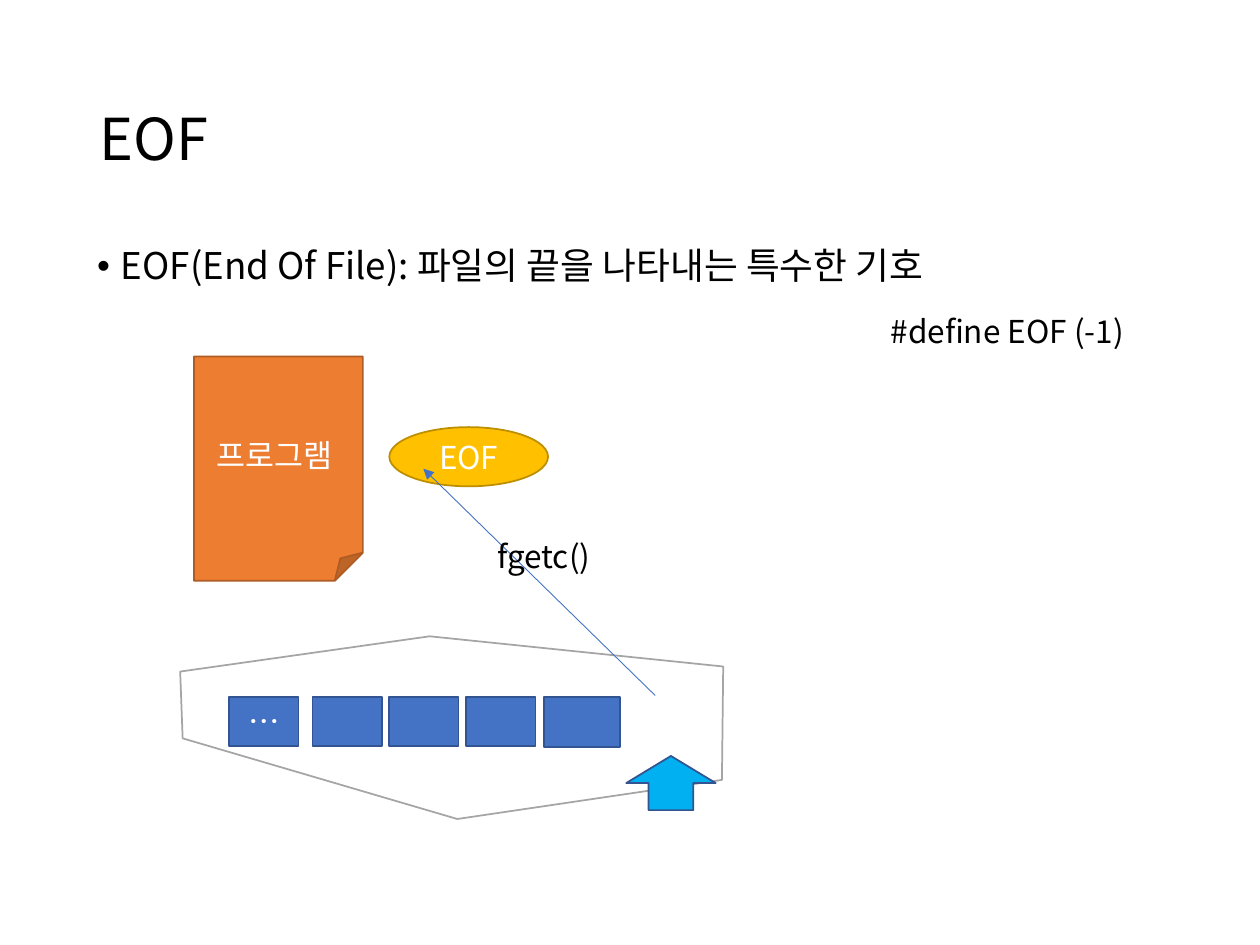
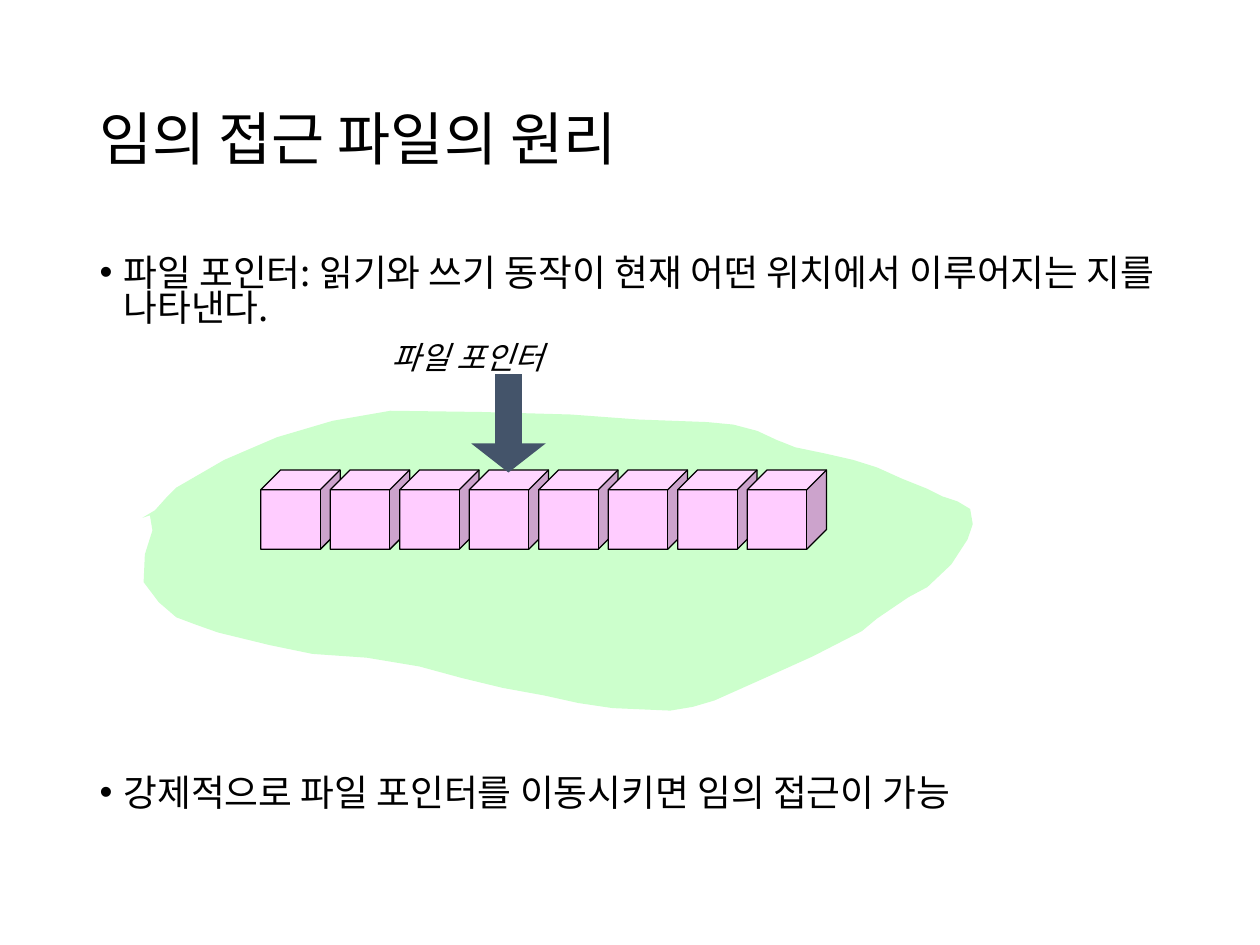
from lxml.etree import SubElement
from pptx import Presentation
from pptx.dml.color import RGBColor
from pptx.enum.shapes import MSO_CONNECTOR, MSO_SHAPE
from pptx.enum.text import MSO_ANCHOR, MSO_AUTO_SIZE, PP_ALIGN
from pptx.oxml.ns import qn
from pptx.util import Inches, Pt

FONT = "Noto Sans CJK KR"
BLACK, WHITE = "000000", "FFFFFF"
BLUE, DARK_BLUE = "4472C4", "325491"
TITLE_BOX = (0.69, 0.4, 8.62, 1.45)

EOF_TITLE = "EOF"
EOF_BODY = ["EOF(End Of File): 파일의 끝을 나타내는 특수한 기호"]
FILE_OUTLINE = [(3.41, 5.05), (1.43, 5.33), (1.45, 5.86), (3.63, 6.5), (5.73, 6.19), (5.74, 5.29)]
FILE_CELLS = [
    (1.82, 0.55, 0.39, "…"),
    (2.48, 0.55, 0.39, ""),
    (3.09, 0.55, 0.39, ""),
    (3.7, 0.55, 0.39, ""),
    (4.32, 0.6, 0.4, ""),
]
CELL_TOP = 5.53
EOF_SHAPES = [
    (MSO_SHAPE.OVAL, (3.09, 3.39, 1.26, 0.47), "FFC000", "BD8E00", "EOF"),
    (MSO_SHAPE.FOLDED_CORNER, (1.54, 2.83, 1.34, 1.78), "ED7D31", "AF5C24", "프로그램 "),
]

ACCESS_TITLE = "임의 접근 파일의 원리"
ACCESS_BODY = [
    "파일 포인터: 읽기와 쓰기 동작이 현재 어떤 위치에서 이루어지는 지를 나타낸다.",
    "강제적으로 파일 포인터를 이동시키면 임의 접근이 가능",
]
STORAGE_OUTLINE = [
    (1.13, 4.11), (1.23, 4.05), (1.32, 3.95), (1.4, 3.87), (1.78, 3.65), (2.2, 3.47),
    (2.64, 3.34), (3.1, 3.26), (3.82, 3.27), (4.53, 3.29), (5.07, 3.33), (5.61, 3.35),
    (5.82, 3.37), (6.01, 3.42), (6.16, 3.49), (6.31, 3.55), (6.55, 3.6), (6.77, 3.65),
    (6.96, 3.71), (7.16, 3.8), (7.36, 3.88), (7.48, 3.94), (7.6, 3.98), (7.7, 4.04),
    (7.72, 4.16), (7.68, 4.28), (7.55, 4.48), (7.36, 4.66), (7.21, 4.74), (6.96, 4.91),
    (6.84, 5.01), (6.45, 5.21), (6.05, 5.39), (5.67, 5.56), (5.5, 5.61), (5.32, 5.64),
    (4.86, 5.62), (4.59, 5.58), (4.32, 5.52), (3.99, 5.46), (3.66, 5.38), (3.33, 5.29),
    (2.91, 5.22), (2.48, 5.19), (2.14, 5.12), (1.73, 5.02), (1.56, 4.96), (1.4, 4.9),
    (1.26, 4.78), (1.14, 4.62), (1.15, 4.4), (1.21, 4.21), (1.19, 4.09),
]
CUBE_COUNT, CUBE_LEFT, CUBE_STEP, CUBE_TOP, CUBE_SIZE = 8, 2.07, 0.5515, 3.73, 0.63


def color(value):
    return RGBColor.from_string(value)


def place(shape, box):
    shape.left, shape.top, shape.width, shape.height = map(Inches, box)


def write(paragraph, text, size=18, ink=BLACK, italic=None, align=PP_ALIGN.LEFT, spacing=None):
    paragraph.alignment = align
    if spacing:
        paragraph.line_spacing = spacing
    run = paragraph.add_run()
    run.text = text
    run.font.name, run.font.size, run.font.italic = FONT, Pt(size), italic
    run.font.color.rgb = color(ink)
    SubElement(run.font._element, qn("a:ea"), typeface=FONT)


def paint(shape, fill, line=None, width=1):
    shape.shadow.inherit = False
    shape.fill.solid()
    shape.fill.fore_color.rgb = color(fill)
    if line:
        shape.line.color.rgb = color(line)
        shape.line.width = Pt(width)
    else:
        shape.line.fill.background()


def add_shape(slide, kind, box, fill, line=None, text="", width=1, adjustments=()):
    shape = slide.shapes.add_shape(kind, *map(Inches, box))
    paint(shape, fill, line, width)
    for index, value in enumerate(adjustments):
        shape.adjustments[index] = value
    if text:
        shape.text_frame.vertical_anchor = MSO_ANCHOR.MIDDLE
        write(shape.text_frame.paragraphs[0], text, ink=WHITE, align=PP_ALIGN.CENTER)


def add_outline(slide, points, fill, line=None):
    corners = [(Inches(x), Inches(y)) for x, y in points]
    builder = slide.shapes.build_freeform(*corners[0])
    builder.add_line_segments(corners[1:], close=True)
    paint(builder.convert_to_shape(), fill, line)


def add_label(slide, box, text, wrap=False, **text_format):
    label = slide.shapes.add_textbox(*map(Inches, box))
    label.text_frame.word_wrap = wrap
    label.text_frame.auto_size = MSO_AUTO_SIZE.SHAPE_TO_FIT_TEXT
    write(label.text_frame.paragraphs[0], text, **text_format)


def add_arrow(slide, start, end):
    connector = slide.shapes.add_connector(MSO_CONNECTOR.STRAIGHT, *map(Inches, start + end))
    connector.line.color.rgb = color(BLUE)
    connector.line.width = Pt(0.5)
    SubElement(connector.line._get_or_add_ln(), qn("a:tailEnd"), type="triangle")
    SubElement(connector._element.spPr, qn("a:effectLst"))


def add_content_slide(presentation, title, body, body_box, spacing, gap=7.5):
    slide = presentation.slides.add_slide(presentation.slide_layouts[1])
    heading, content = slide.placeholders
    for placeholder, box in ((heading, TITLE_BOX), (content, body_box)):
        place(placeholder, box)
        placeholder.text_frame.auto_size = MSO_AUTO_SIZE.NONE
    heading.text_frame.vertical_anchor = MSO_ANCHOR.MIDDLE
    write(heading.text_frame.paragraphs[0], title, size=33, spacing=0.9)
    for index, text in enumerate(body):
        frame = content.text_frame
        paragraph = frame.add_paragraph() if index else frame.paragraphs[0]
        write(paragraph, text, size=21, spacing=spacing)
        paragraph.space_before = Pt(gap if index else 7.5)
        properties = paragraph._p.get_or_add_pPr()
        properties.set("marL", str(Inches(0.19)))
        properties.set("indent", str(-Inches(0.19)))
    return slide


def build_eof(presentation):
    slide = add_content_slide(presentation, EOF_TITLE, EOF_BODY, (0.67, 1.92, 8.92, 4.92), 0.9)
    add_outline(slide, FILE_OUTLINE, WHITE, "A5A5A5")
    for left, width, height, text in FILE_CELLS:
        add_shape(slide, MSO_SHAPE.RECTANGLE, (left, CELL_TOP, width, height), BLUE, DARK_BLUE, text)
    for kind, box, fill, line, text in EOF_SHAPES:
        add_shape(slide, kind, box, fill, line, text)
    add_arrow(slide, (5.2, 5.52), (3.36, 3.72))
    add_label(slide, (3.85, 4.21, 1, 0.4), "fgetc()")
    add_shape(slide, MSO_SHAPE.UP_ARROW, (4.97, 6, 0.71, 0.43), "00B0F0", DARK_BLUE)
    add_label(slide, (6.97, 2.43, 2.25, 0.4), "#define EOF (-1)", wrap=True)


def build_random_access(presentation):
    slide = add_content_slide(
        presentation, ACCESS_TITLE, ACCESS_BODY, (0.69, 2, 8.62, 4.76), Pt(20.2), gap=257)
    add_outline(slide, STORAGE_OUTLINE, "CCFFCC")
    for index in range(CUBE_COUNT):
        box = (CUBE_LEFT + index * CUBE_STEP, CUBE_TOP, CUBE_SIZE, CUBE_SIZE)
        add_shape(slide, MSO_SHAPE.CUBE, box, "FFCCFF", BLACK, width=0.75, adjustments=(0.25,))
    add_shape(slide, MSO_SHAPE.DOWN_ARROW, (3.74, 2.97, 0.59, 0.78), "44546A", adjustments=(0.36, 0.39))
    add_label(slide, (3.01, 2.63, 1.55, 0.4), "파일 포인터", italic=True)


def main():
    """Build the two slides on file ends and random access."""
    presentation = Presentation()
    presentation.slide_width, presentation.slide_height = Inches(10), Inches(7.5)
    build_eof(presentation)
    build_random_access(presentation)
    presentation.save("out.pptx")


if __name__ == "__main__":
    main()
